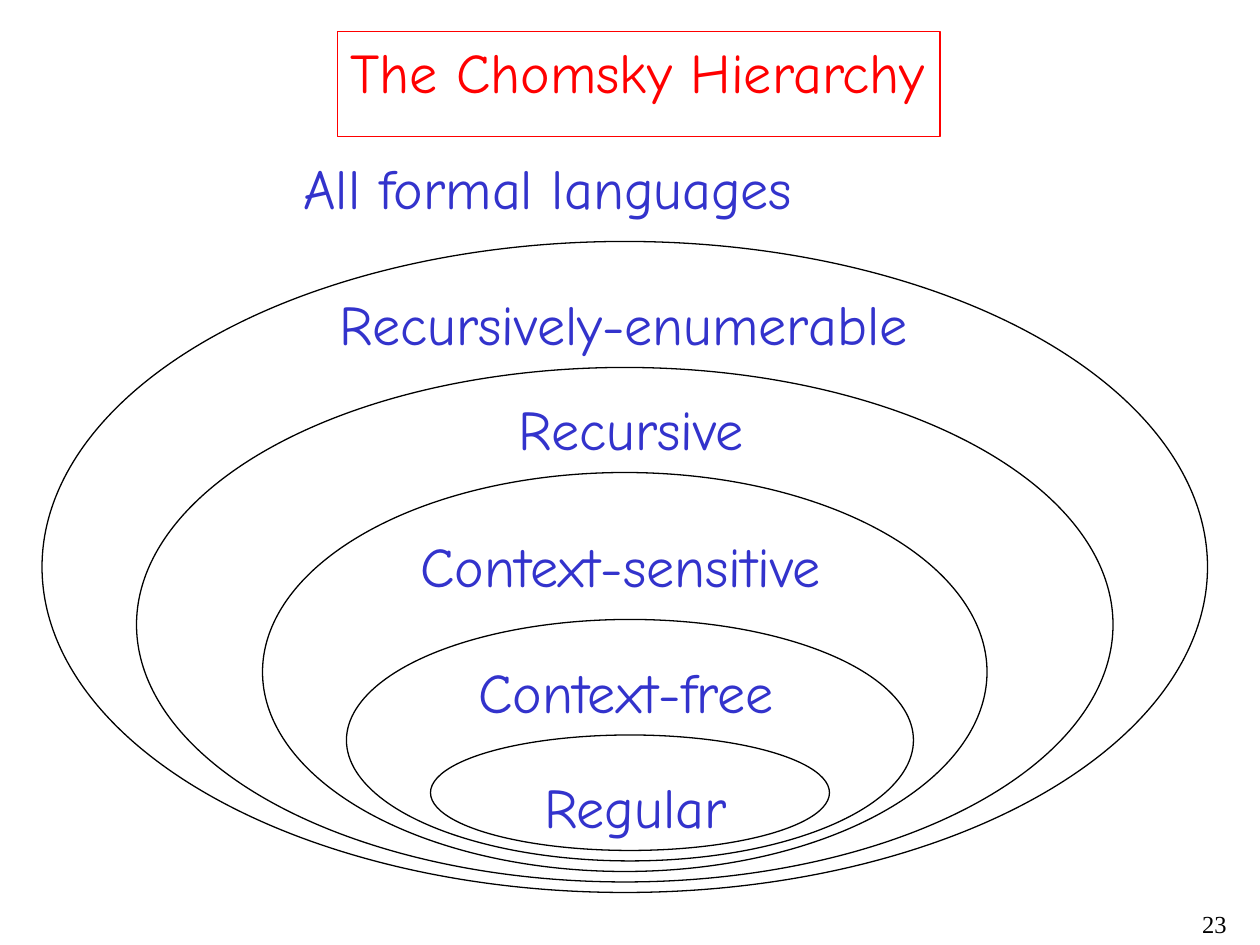
from pptx import Presentation
from pptx.dml.color import RGBColor
from pptx.enum.shapes import MSO_SHAPE as Shape
from pptx.enum.text import MSO_ANCHOR as Anchor, MSO_AUTO_SIZE as AutoSize, PP_ALIGN as Align
from pptx.util import Inches, Pt

COLUMN = ROW = 1 / 12
LABEL_HEIGHT = 0.64
INNERMOST_BOTTOM = 81
LABEL_FORMAT = {"name": "Comic Neue", "size": Pt(32), "bold": False}
NUMBER_FORMAT = {"name": "Times New Roman", "size": Pt(14)}

# Left, top and width in grid units, from the innermost class outwards
CLASS_RINGS = [(41, 70, 38), (33, 59, 54), (25, 45, 69), (13, 35, 93), (4, 23, 111)]

# Wording, left and width in inches, top in grid rows
CLASS_LABELS = [
    ("All formal languages", 2.31, 4.09, 14),
    ("Recursively-enumerable", 2.6, 4.73, 27),
    ("Recursive", 4.02, 2, 37),
    ("Context-sensitive", 3.24, 3.4, 50),
    ("Context-free", 3.7, 2.57, 62),
    ("Regular", 4.22, 1.65, 73),
]


def paint(color_format, hex_color):
    """Set a colour from a hex string."""
    color_format.rgb = RGBColor.from_string(hex_color)


def outline(line, hex_color):
    """Give a thin solid line in one colour."""
    paint(line.color, hex_color)
    line.width = Pt(0.75)


def place(part, left, top, width, height):
    """Move and size a part, with lengths in inches."""
    bounds = {"left": left, "top": top, "width": width, "height": height}
    for side, length in bounds.items():
        setattr(part, side, Inches(length))


def write(part, wording, font_format, hex_color, align=Align.LEFT):
    """Write one paragraph and return it."""
    paragraph = part.text_frame.paragraphs[0]
    paragraph.alignment = align
    run = paragraph.add_run()
    run.text = wording
    for attribute, value in font_format.items():
        setattr(run.font, attribute, value)
    paint(run.font.color, hex_color)
    return paragraph


def write_label(part, wording, hex_color):
    """Write a one-line label in a box that fits its text."""
    frame_format = {
        "word_wrap": False,
        "auto_size": AutoSize.SHAPE_TO_FIT_TEXT,
        "vertical_anchor": Anchor.TOP,
    }
    for attribute, value in frame_format.items():
        setattr(part.text_frame, attribute, value)
    write(part, wording, LABEL_FORMAT, hex_color).space_before = Pt(8)


def format_title(slide, wording):
    """Put the framed title at the top of the slide."""
    title = slide.shapes.title
    place(title, 2.68, 3 * ROW, 4.78, LABEL_HEIGHT)
    outline(title.line, "FF0000")
    write_label(title, wording, "FF0000")


def add_ring(slide, left, top, width, bottom):
    """Draw the ellipse of one language class on the grid."""
    bounds = (left * COLUMN, top * ROW, width * COLUMN, (bottom - top) * ROW)
    ring = slide.shapes.add_shape(Shape.OVAL, *map(Inches, bounds))
    ring.shadow.inherit = False
    ring.fill.background()
    outline(ring.line, "000000")


def add_label(slide, wording, left, width, row):
    """Name one language class."""
    bounds = (left, row * ROW, width, LABEL_HEIGHT)
    label = slide.shapes.add_textbox(*map(Inches, bounds))
    write_label(label, wording, "3333CC")


def add_page_number(slide, number):
    """Put the page number in the lower right corner."""
    bounds = (93 * COLUMN, 86 * ROW, 25 * COLUMN, 4 * ROW)
    page_number = slide.shapes.add_textbox(*map(Inches, bounds))
    page_number.text_frame.word_wrap = True
    write(page_number, number, NUMBER_FORMAT, "000000", Align.RIGHT)


def main():
    """Build the slide and save it."""
    deck = Presentation()
    deck.slide_width, deck.slide_height = Inches(10), Inches(7.5)
    slide = deck.slides.add_slide(deck.slide_layouts[5])
    format_title(slide, "The Chomsky Hierarchy")
    for step, (left, top, width) in reversed(list(enumerate(CLASS_RINGS))):
        add_ring(slide, left, top, width, INNERMOST_BOTTOM + step)
    for label in CLASS_LABELS:
        add_label(slide, *label)
    add_page_number(slide, "23")
    deck.save("out.pptx")


if __name__ == "__main__":
    main()
